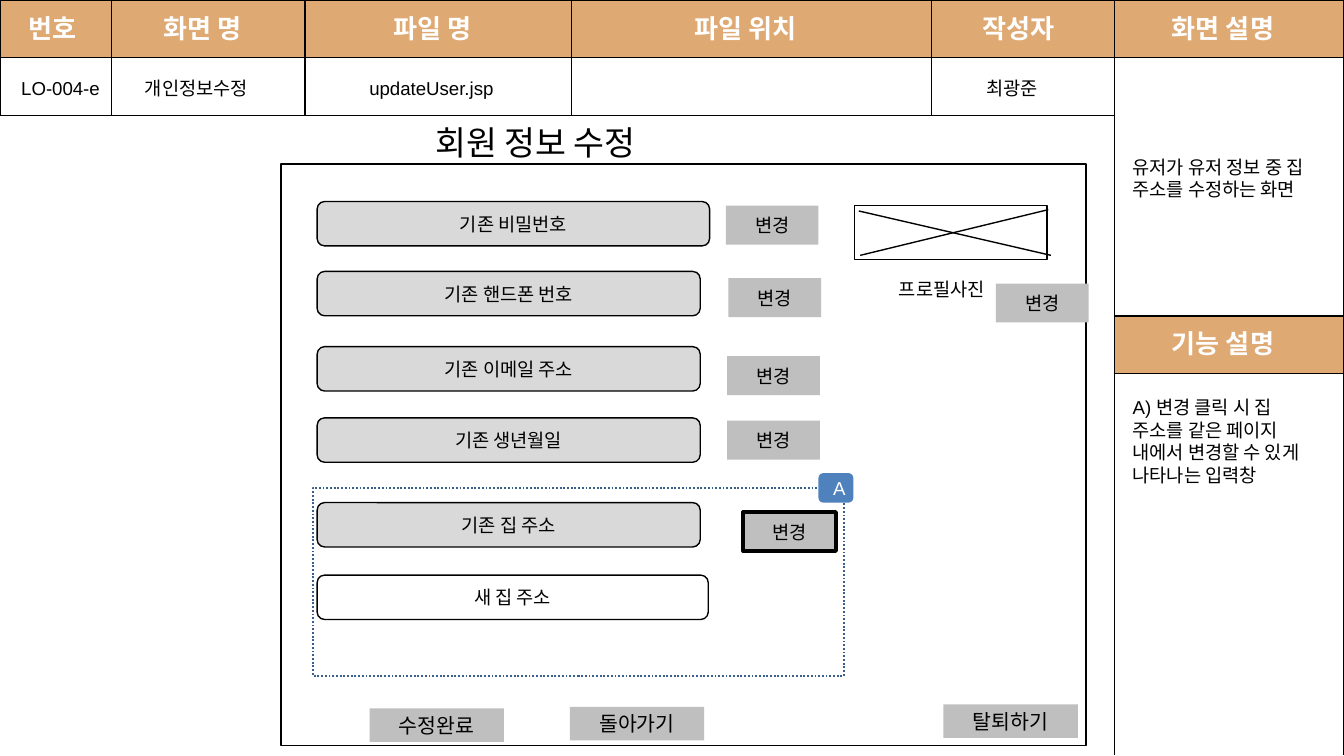
import dataclasses
import lxml.etree
import pptx
import pptx.dml.color
import pptx.enum.dml
import pptx.enum.shapes
import pptx.enum.text
import pptx.oxml.ns
import pptx.util

PX = 9144  # EMU: 100 px to the inch
SHAPE = pptx.enum.shapes.MSO_SHAPE
ALIGN = pptx.enum.text.PP_ALIGN
ANCHOR = pptx.enum.text.MSO_ANCHOR


@dataclasses.dataclass(frozen=True)
class Theme:
    head: str = "DEA973"
    ink: str = "000000"
    paper: str = "FFFFFF"
    field: str = "D9D9D9"
    button: str = "BFBFBF"
    badge: str = "4F81BD"
    frame: str = "3A5F8C"
    bold: str = "Noto Sans CJK KR"
    sans: str = "Arial"
    form: str = "Calibri"
    small: int = 10
    medium: int = 11
    large: int = 14
    title: int = 18
    thin: float = 0.75
    thick: int = 2


THEME = Theme()


def rgb(code):
    return pptx.dml.color.RGBColor.from_string(code)


def emu(*sizes):
    return [pptx.util.Emu(size * PX) for size in sizes]


def write(shape, text, size, font, color=THEME.ink, bold=False, align=ALIGN.LEFT):
    frame = shape.text_frame
    frame.word_wrap = True
    frame.text = text
    for para in frame.paragraphs:
        para.alignment = align
        for run in para.runs:
            run.font.size = pptx.util.Pt(size)
            run.font.bold = bold
            run.font.color.rgb = rgb(color)
            run.font.name = font


def label(slide, box, text, size=THEME.small, font=THEME.sans):
    shape = slide.shapes.add_textbox(*emu(*box))
    write(shape, text, size, font)


def paint(shape, fill=None, line=None, width=THEME.thin):
    shape.shadow.inherit = False
    if fill:
        shape.fill.solid()
        shape.fill.fore_color.rgb = rgb(fill)
    else:
        shape.fill.background()
    if line:
        shape.line.color.rgb = rgb(line)
        shape.line.width = pptx.util.Pt(width)
    else:
        shape.line.fill.background()


def block(slide, box, fill=None, line=None, width=THEME.thin, kind=SHAPE.RECTANGLE):
    shape = slide.shapes.add_shape(kind, *emu(*box))
    paint(shape, fill, line, width)
    return shape


def grid(slide, box, cols, rows):
    """Draw the upright and level rules of a box as one outline."""
    left, top, width, height = box
    ends = [((left + x, top), (left + x, top + height)) for x in cols]
    ends += [((left, top + y), (left + width, top + y)) for y in rows]
    pen = slide.shapes.build_freeform(*ends[0][0], scale=PX)
    for start, end in ends:
        pen.move_to(*start)
        pen.add_line_segments([end], close=False)
    paint(pen.convert_to_shape(), line=THEME.ink)


def rule(slide, *ends):
    line = slide.shapes.add_connector(
        pptx.enum.shapes.MSO_CONNECTOR.STRAIGHT, *emu(*ends))
    line.line.color.rgb = rgb(THEME.ink)
    line.line.width = pptx.util.Pt(THEME.thin)
    lxml.etree.SubElement(line._element.spPr, pptx.oxml.ns.qn("a:effectLst"))


def heading(shape, text):
    """Format a text box or the title placeholder as a white column heading."""
    frame = shape.text_frame
    frame.margin_right = frame.margin_bottom = 0
    frame.margin_left = frame.margin_top = PX
    frame.vertical_anchor = ANCHOR.TOP
    frame.auto_size = pptx.enum.text.MSO_AUTO_SIZE.NONE
    write(shape, text, THEME.large, THEME.bold, THEME.paper, True)


def button(slide, box, text="변경", size=THEME.small, line=None):
    shape = block(slide, box, THEME.button, line, THEME.thick)
    write(shape, text, size, THEME.form, align=ALIGN.CENTER)


def field(slide, box, text, fill=THEME.field):
    shape = block(slide, box, fill, THEME.ink, kind=SHAPE.ROUNDED_RECTANGLE)
    write(shape, text, THEME.small, THEME.form, align=ALIGN.CENTER)


def header(slide, box):
    """Draw the two-row grid; the slide title is the heading of its fourth column."""
    left, top, width, height = box
    row = height // 2
    block(slide, (left, top, width, row), THEME.head)
    grid(slide, box, (0, 83, 227, 425, 693, width), (0, row, height))
    for x, wide, text in ((20, 42, "번호"), (121, 67, "화면 명"),
                          (292, 67, "파일 명"), (730, 61, "작성자")):
        shape = slide.shapes.add_textbox(*emu(left + x, top + 8, wide, 26))
        heading(shape, text)
    title = slide.shapes.title
    title.left, title.top, title.width, title.height = emu(left + 516, top + 8, 85, 26)
    heading(title, "파일 위치")
    title._element.getparent().append(title._element)  # bring above the band
    for x, wide, text in ((6, 87, "LO-004-e"), (98, 142, "개인정보수정"),
                          (265, 173, "updateUser.jsp"), (724, 84, "최광준")):
        label(slide, (left + x, top + 52, wide, 27), text)


def sidebar(slide, box):
    left, top, width, height = box
    for y, text, gap, wide, tall, note in (
            (0, "화면 설명", 111, 167, 44, "유저가 유저 정보 중 집 주소를 수정하는 화면"),
            (235, "기능 설명", 55, 150, 77,
             "A) 변경 클릭 시 집 주소를 같은 페이지 내에서 변경할 수 있게 나타나는 입력창")):
        block(slide, (left, top + y, width, 43), THEME.head)
        shape = slide.shapes.add_textbox(*emu(left + 42, top + y + 8, 87, 26))
        heading(shape, text)
        label(slide, (left + 4, top + y + gap, wide, tall), note)
    grid(slide, box, (0, width), (0, 43, 235, 278))


def photo(slide, box):
    left, top, width, height = box
    right = left + width
    block(slide, box, THEME.paper, THEME.ink)
    rule(slide, right + 3, top + 37, left + 3, top + 4)
    rule(slide, left + 4, top + 37, right + 1, top + 3)
    label(slide, (left + 23, top + 49, 151, 27), "프로필사진", font=THEME.form)
    button(slide, (left + 105, top + 58, 69, 29))


def address(slide, box):
    """Draw the dotted area marked A, with the old and the new address."""
    left, top, width, height = box
    area = block(slide, box, line=THEME.frame, width=1)
    area.line.dash_style = pptx.enum.dml.MSO_LINE.ROUND_DOT
    field(slide, (left + 3, top + 11, 285, 33), "기존 집 주소")
    button(slide, (left + 320, top + 18, 69, 29), line=THEME.ink)
    field(slide, (left + 3, top + 65, 291, 33), "새 집 주소", None)
    badge = block(slide, (left + width - 19, top - 11, 26, 22), THEME.badge,
                  kind=SHAPE.ROUNDED_RECTANGLE)
    write(badge, "A", THEME.small, THEME.sans, THEME.paper, align=ALIGN.CENTER)


def form(slide, box):
    left, top, width, height = box
    label(slide, (left + 105, top - 36, 207, 40), "회원 정보 수정",
          THEME.title, THEME.form)
    block(slide, box, line=THEME.ink)
    for y, wide, text, x, drop in (
            (28, 292, "기존 비밀번호", 331, 3), (80, 285, "기존 핸드폰 번호", 333, 5),
            (136, 285, "기존 이메일 주소", 332, 7), (189, 285, "기존 생년월일", 332, 2)):
        field(slide, (left + 27, top + y, wide, 33), text)
        button(slide, (left + x, top + y + drop, 69, 29))
    photo(slide, (left + 427, top + 31, 143, 40))
    address(slide, (left + 24, top + 241, 395, 140))
    for x, y, text in ((66, 405, "수정완료"), (215, 404, "돌아가기"),
                       (493, 402, "탈퇴하기")):
        button(slide, (left + x, top + y, 100, 25), text, THEME.medium)


def main():
    deck = pptx.Presentation()
    deck.slide_width = 1000 * PX
    deck.slide_height = deck.slide_width * 9 // 16
    slide = deck.slides.add_slide(deck.slide_layouts.get_by_name("Title Only"))
    header(slide, (0, 0, 829, 86))
    sidebar(slide, (829, 0, 171, 562))
    form(slide, (209, 122, 599, 433))
    deck.save("out.pptx")


if __name__ == "__main__":
    main()
